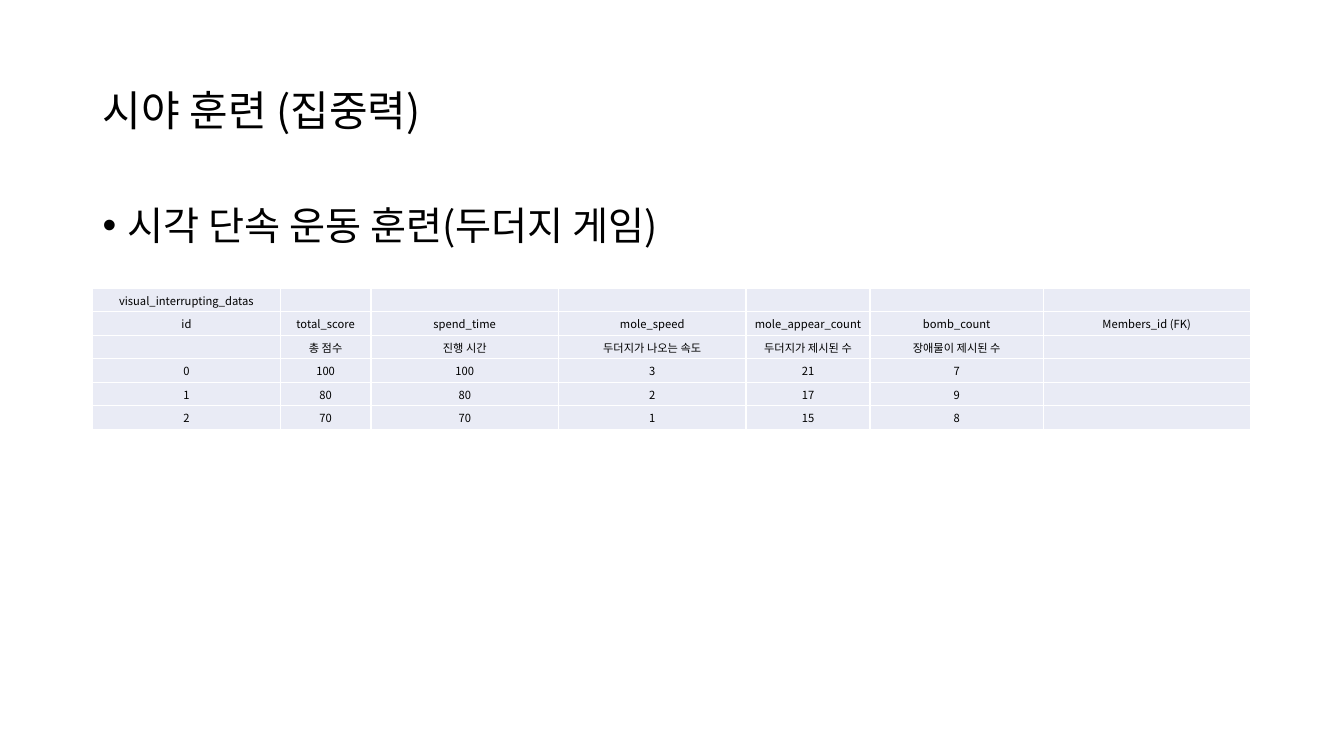
"""Build the slide on the visual training game and its data table."""
from pptx import Presentation
from pptx.dml.color import RGBColor as Rgb
from pptx.enum.text import MSO_ANCHOR as Anchor, PP_ALIGN as Align
from pptx.oxml import parse_xml
from pptx.oxml.ns import nsdecls
from pptx.util import Inches, Pt

FONT = "Noto Sans CJK KR"
BLACK, WHITE, PALE = "000000", "FFFFFF", "E9EBF5"
WIDE, HIGH = 13.33, 7.5
LEFT, SPAN = 0.92, 11.5

TITLE = "시야 훈련 (집중력)"
POINT = "시각 단속 운동 훈련(두더지 게임)"
COLS = [1.86, 0.9, 1.86, 1.86, 1.23, 1.72, 2.05]
ROWS = [
    ["visual_interrupting_datas"] + [""] * 6,
    ["id", "total_score", "spend_time", "mole_speed",
     "mole_appear_count", "bomb_count", "Members_id (FK)"],
    ["", "총 점수", "진행 시간", "두더지가 나오는 속도",
     "두더지가 제시된 수", "장애물이 제시된 수", ""],
    ["0", "100", "100", "3", "21", "7", ""],
    ["1", "80", "80", "2", "17", "9", ""],
    ["2", "70", "70", "1", "15", "8", ""],
]
TOP, DEPTH = 2.86, 1.4


def color(code):
    return Rgb.from_string(code)


def make(tag, attrs="", inner=""):
    return parse_xml(f"<a:{tag} {nsdecls('a')} {attrs}>{inner}</a:{tag}>")


def write(frame, text, size, align=Align.LEFT, line=None, before=0,
          bullet=None):
    para = frame.paragraphs[0]
    para.alignment = align
    para.space_before = Pt(before)
    if line:
        para.line_spacing = line
    if bullet:
        props = para._p.get_or_add_pPr()
        props.set("marL", str(Inches(0.25)))
        props.set("indent", str(Inches(-0.25)))
        props.append(make("buFont", 'typeface="Arial"'))
        props.append(make("buChar", f'char="{bullet}"'))
    if text:
        run = para.add_run()
        run.text = text
        run.font.size = Pt(size)
        run.font.name = FONT
        run.font.color.rgb = color(BLACK)
        run._r.get_or_add_rPr().append(make("ea", f'typeface="{FONT}"'))
    else:
        para._p.append(make("endParaRPr", f'sz="{size * 100}"'))


def style(cell):
    cell.vertical_anchor = Anchor.MIDDLE
    cell.margin_left = cell.margin_right = cell.margin_top = Inches(0.01)
    cell.margin_bottom = 0
    props = cell._tc.get_or_add_tcPr()
    paint = f'<a:solidFill><a:srgbClr val="{WHITE}"/></a:solidFill>'
    for side in "LRTB":
        props.append(make(f"ln{side}", f'w="{Pt(1)}"', paint))
    cell.fill.solid()
    cell.fill.fore_color.rgb = color(PALE)


def main():
    deck = Presentation()
    deck.slide_width, deck.slide_height = Inches(WIDE), Inches(HIGH)
    slide = deck.slides.add_slide(deck.slide_layouts[5])

    title = slide.shapes.title
    title.left, title.top = Inches(LEFT), Inches(0.4)
    title.width, title.height = Inches(SPAN), Inches(1.45)
    title.text_frame.vertical_anchor = Anchor.MIDDLE
    write(title.text_frame, TITLE, 30, line=0.9)

    body = slide.shapes.add_textbox(
        Inches(LEFT), Inches(2), Inches(SPAN), Inches(4.76))
    body.text_frame.word_wrap = True
    write(body.text_frame, POINT, 28, line=0.9, before=10, bullet="•")

    table = slide.shapes.add_table(
        len(ROWS), len(COLS), Inches(LEFT), Inches(TOP),
        Inches(SPAN), Inches(DEPTH)).table
    table.first_row = table.horz_banding = False
    for col, width in zip(table.columns, COLS):
        col.width = Inches(width)
    for row, texts in zip(table.rows, ROWS):
        row.height = Inches(DEPTH / len(ROWS))
        for cell, text in zip(row.cells, texts):
            style(cell)
            write(cell.text_frame, text, 8, align=Align.CENTER)

    deck.save("out.pptx")


if __name__ == "__main__":
    main()
